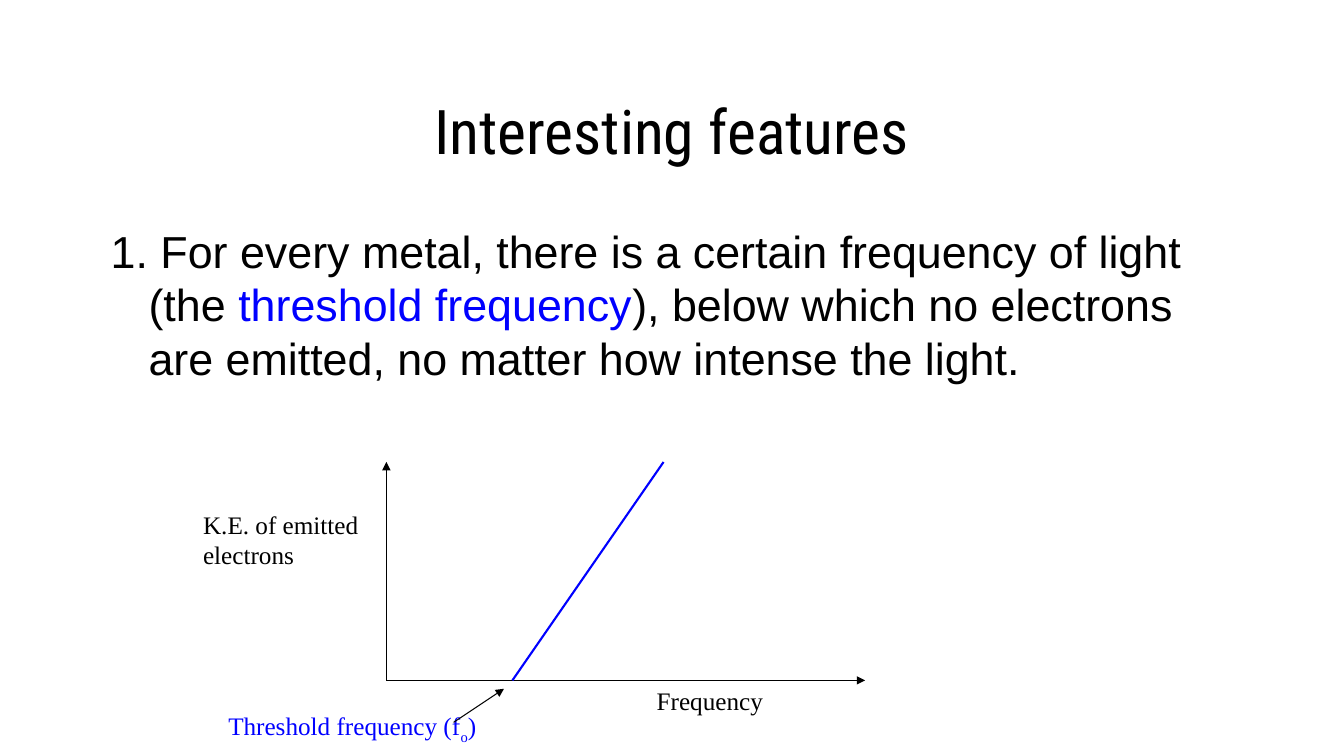
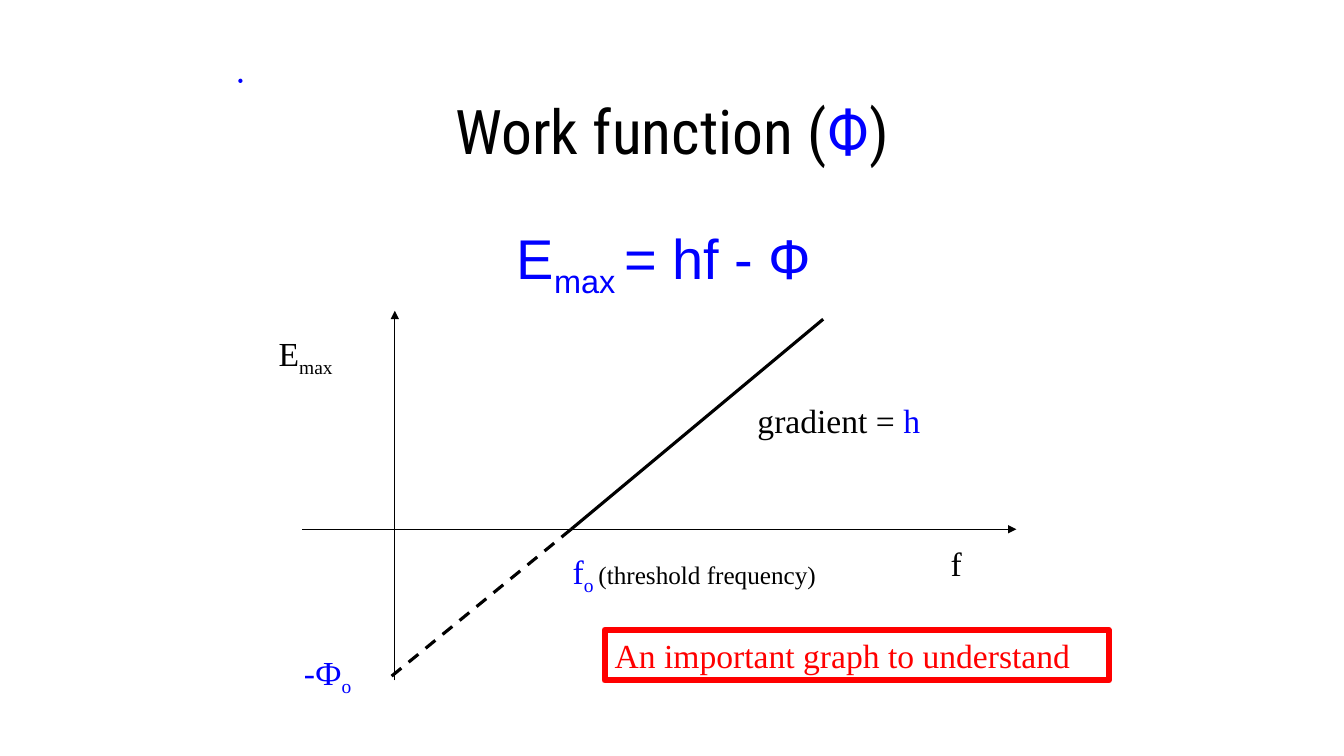
"""Build two slides on the photoelectric effect with labelled graphs."""
from lxml import etree
from pptx import Presentation, util as u
from pptx.dml.color import RGBColor
from pptx.enum import dml, shapes, text
from pptx.oxml import ns

PX = 9525
COLORS = {"black": "000000", "blue": "0000FF", "red": "FF0000"}
TITLE_FONT, BODY_FONT, LABEL_FONT = "Roboto Condensed", "Arial", "Times New Roman"
TITLE_BOX = (96, 64, 1088, 120)
BODY_BOX = (96, 208, 1088, 432)
HANGING = 36


def px(*values):
    return [u.Emu(v * PX) for v in values]


def rgb(name):
    return RGBColor.from_string(COLORS[name])


def fill_text(sp, runs, font, size, align=text.PP_ALIGN.LEFT, anchor=text.MSO_ANCHOR.TOP):
    tf = sp.text_frame
    tf.word_wrap = True
    tf.vertical_anchor = anchor
    p = tf.paragraphs[0]
    p.alignment = align
    for content, color, *options in runs:
        r = p.add_run()
        r.text = content
        r.font.name = font
        r.font.size = u.Pt(size)
        r.font.color.rgb = rgb(color)
        for option in options:
            if option == "sub":
                r.font._element.set("baseline", "-25000")
            else:
                r.font.size = u.Pt(option)
    return p


def add_text(s, box, runs, font=LABEL_FONT, size=24, **layout):
    return fill_text(s.shapes.add_textbox(*px(*box)), runs, font, size, **layout)


def add_title(s, runs):
    add_text(s, TITLE_BOX, runs, TITLE_FONT, 44,
             align=text.PP_ALIGN.CENTER, anchor=text.MSO_ANCHOR.MIDDLE)


def add_line(s, start, end, color="black", width=0.75, arrow=False, dashed=False):
    line = s.shapes.add_connector(shapes.MSO_CONNECTOR.STRAIGHT, *px(*start, *end))
    line.line.color.rgb = rgb(color)
    line.line.width = u.Pt(width)
    if dashed:
        line.line.dash_style = dml.MSO_LINE.DASH
    if arrow:
        ln = line.line._get_or_add_ln()
        etree.SubElement(ln, ns.qn("a:tailEnd"), type="triangle")
    etree.SubElement(line._element.spPr, ns.qn("a:effectLst"))


def add_frame(s, box, runs, color, width):
    sp = s.shapes.add_shape(shapes.MSO_SHAPE.RECTANGLE, *px(*box))
    sp.shadow.inherit = False
    sp.fill.background()
    sp.line.color.rgb = rgb(color)
    sp.line.width = u.Pt(width)
    fill_text(sp, runs, LABEL_FONT, 24)


def add_dot(s, box, color):
    sp = s.shapes.add_shape(shapes.MSO_SHAPE.OVAL, *px(*box))
    sp.shadow.inherit = False
    sp.fill.solid()
    sp.fill.fore_color.rgb = rgb(color)
    sp.line.fill.background()


def build_features(s):
    add_title(s, [("Interesting features", "black")])
    p = add_text(s, BODY_BOX, [
        ("1. For every metal, there is a certain frequency of light (the ", "black"),
        ("threshold frequency", "blue"),
        ("), below which no electrons are emitted, no matter how intense the light.", "black"),
    ], BODY_FONT, 32)
    pPr = p._p.get_or_add_pPr()
    pPr.set("marL", str(HANGING * PX))
    pPr.set("indent", str(-HANGING * PX))

    origin, threshold = (368, 648), (488, 648)
    add_line(s, origin, (368, 440), arrow=True)
    add_line(s, origin, (824, 648), arrow=True)
    add_line(s, threshold, (632, 440), "blue", 1.5)
    add_text(s, (184, 480, 200, 67), [("K.E. of emitted electrons", "black")], size=18)
    add_text(s, (616, 648, 264, 38), [("Frequency", "black")], size=18)
    add_text(s, (208, 672, 280, 42), [
        ("Threshold frequency (f", "blue"), ("o", "blue", "sub"), (")", "blue")], size=18)
    add_line(s, (432, 688), (480, 656), arrow=True)


def build_work_function(s):
    add_title(s, [("Work function (", "black"), ("Ф", "blue"), (")", "black")])
    add_text(s, BODY_BOX, [
        ("E", "blue"), ("max ", "blue", "sub"), ("= hf - Ф ", "blue")],
        BODY_FONT, 40, align=text.PP_ALIGN.CENTER)

    threshold = (544, 504)
    add_line(s, (376, 648), (376, 296), arrow=True)
    add_line(s, (288, 504), (968, 504), arrow=True)
    add_line(s, (784, 304), threshold, width=2.25)
    add_line(s, threshold, (368, 648), width=2.25, dashed=True)
    labels = [
        ((896, 512, 64, 48), [("f", "black")]),
        ((256, 312, 104, 54), [("E", "black"), ("max", "black", "sub")]),
        ((536, 520, 280, 54), [("f", "blue"), ("o ", "blue", "sub"),
                               ("(threshold frequency)", "black", 18)]),
        ((280, 616, 72, 54), [("-Ф", "blue"), ("o", "blue", "sub")]),
        ((712, 376, 288, 48), [("gradient = ", "black"), ("h", "blue")]),
    ]
    for box, runs in labels:
        add_text(s, box, runs)
    add_frame(s, (576, 600, 480, 48), [("An important graph to understand", "red")], "red", 4.5)
    add_dot(s, (227, 75, 4, 4), "blue")


def main():
    prs = Presentation()
    prs.slide_width, prs.slide_height = px(1280, 720)
    for build in (build_features, build_work_function):
        build(prs.slides.add_slide(prs.slide_layouts[6]))
    prs.save("out.pptx")


if __name__ == "__main__":
    main()
